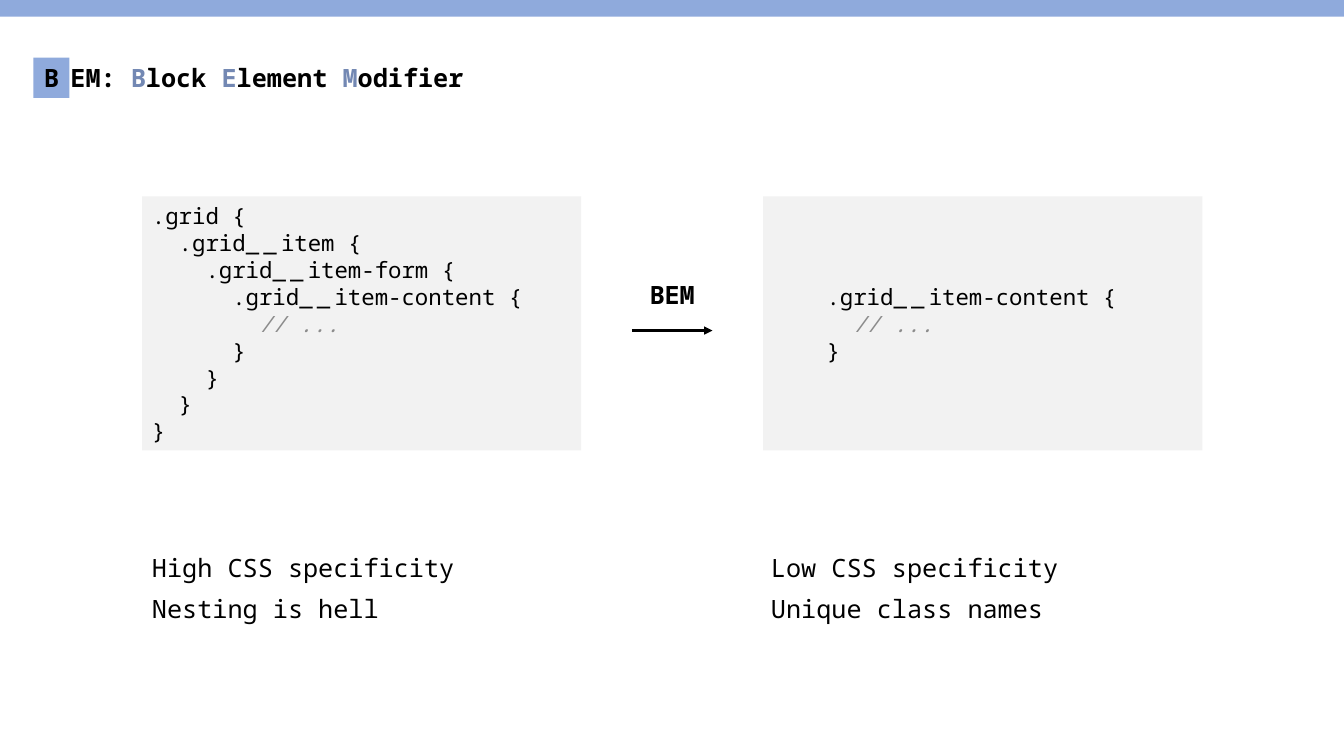
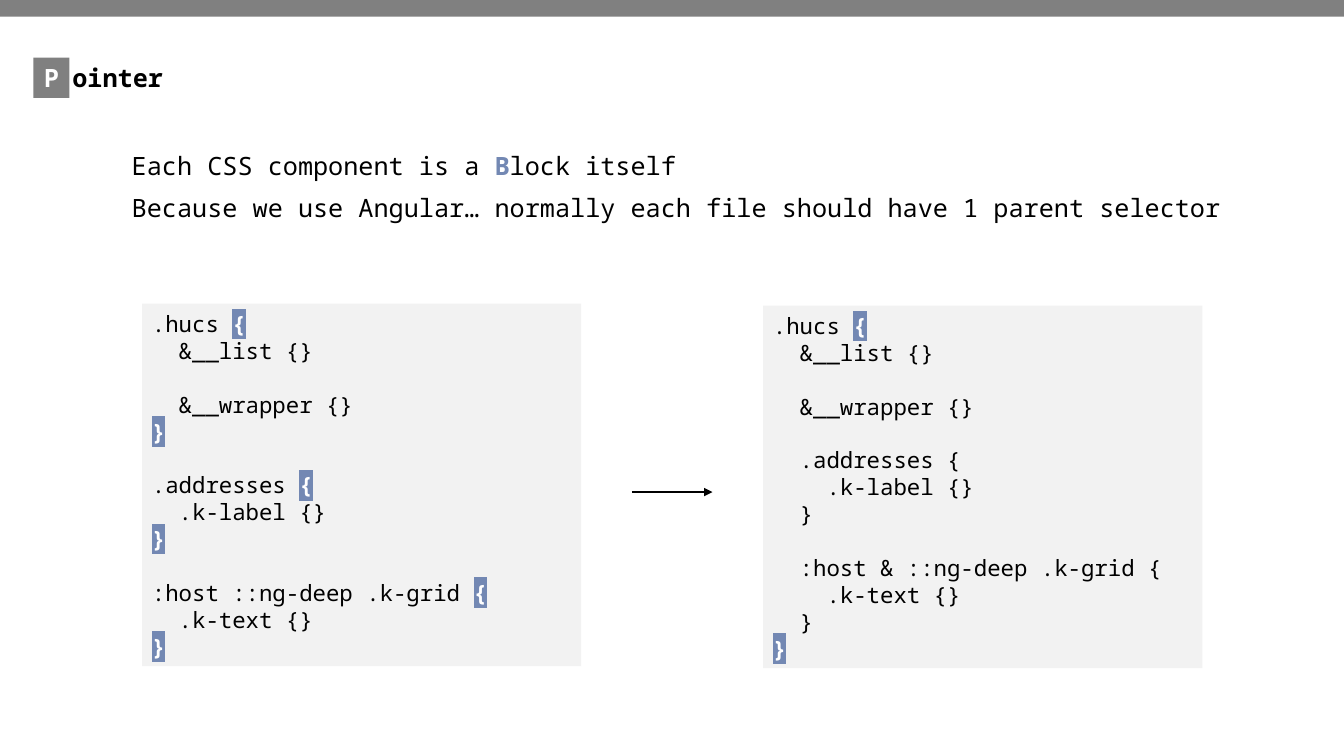
from copy import deepcopy

from lxml import etree
from pptx import Presentation
from pptx.dml.color import RGBColor
from pptx.enum.shapes import MSO_CONNECTOR, MSO_SHAPE
from pptx.enum.text import MSO_ANCHOR, MSO_AUTO_SIZE, PP_ALIGN
from pptx.oxml.ns import qn
from pptx.util import Cm, Pt

RECTANGLE = MSO_SHAPE.RECTANGLE
STRAIGHT = MSO_CONNECTOR.STRAIGHT
LEFT, CENTER = PP_ALIGN.LEFT, PP_ALIGN.CENTER
TOP, MIDDLE = MSO_ANCHOR.TOP, MSO_ANCHOR.MIDDLE
TITLE_ONLY = 5

FONT = "Noto Sans Mono"
COLORS = {
    "black": "000000",
    "white": "FFFFFF",
    "blue": "8FAADC",
    "accent": "7388B3",
    "gray": "808080",
    "panel": "F2F2F2",
    "comment": "8C8C8C",
}
STYLES = {
    "plain": {"color": "black"},
    "bold": {"color": "black", "bold": True},
    "light": {"color": "white", "bold": True},
    "accent": {"color": "accent", "bold": True},
    "comment": {"color": "comment", "italic": True},
    "spaced": {"color": "black", "spacing": 300},
    "mark": {"color": "white", "bold": True, "highlight": "accent"},
}

SLIDE_WIDTH, SLIDE_HEIGHT = 33.87, 19.05
BAND_HEIGHT = 0.42
TILE = (0.84, 1.45, 0.91, 1.02)
TITLE_WIDTH = 30
PANEL_WIDTH = 11.07
PANEL_LEFTS = (3.58, 19.23)
GAP_CENTER = (PANEL_LEFTS[0] + PANEL_WIDTH + PANEL_LEFTS[1]) / 2
ARROW_LENGTH = 2.03
LABEL_WIDTH, LABEL_HEIGHT = 2.31, 1.02

SPACER = ("__", "spaced")
COMMENT = ("// ...", "comment")
OPEN, CLOSE = ("{\n", "mark"), ("}", "mark")
CLOSE_GAP = ("}\n\n", "mark")

SLIDES = [
    {
        "theme": "blue",
        "initial": ("B", "bold"),
        "title_left": 1.52,
        "title": [
            ("EM: ", "bold"), ("B", "accent"), ("lock ", "bold"),
            ("E", "accent"), ("lement ", "bold"),
            ("M", "accent"), ("odifier", "bold"),
        ],
        "notes": [
            {"box": (3.58, 13.87, 9.3, 2.16),
             "lines": [[("High CSS specificity", "plain")],
                       [("Nesting is hell", "plain")]]},
            {"box": (19.18, 13.87, 9.3, 2.16),
             "lines": [[("Low CSS specificity", "plain")],
                       [("Unique class names", "plain")]]},
        ],
        "panel_tops": (4.95, 4.95),
        "panel_height": 6.4,
        "code": [
            [
                (".grid {\n  .grid", "plain"), SPACER,
                ("item {\n    .grid", "plain"), SPACER,
                ("item-form {\n      .grid", "plain"), SPACER,
                ("item-content {\n        ", "plain"), COMMENT,
                ("\n      }\n    }\n  }\n}", "plain"),
            ],
            [
                ("    .grid", "plain"), SPACER,
                ("item-content {\n      ", "plain"), COMMENT,
                ("\n    }", "plain"),
            ],
        ],
        "arrow_y": 8.33,
        "label": ("BEM", 6.91),
    },
    {
        "theme": "gray",
        "initial": ("P", "light"),
        "title_left": 1.57,
        "title": [("ointer", "bold")],
        "notes": [
            {"box": (3.07, 3.76, 30.7, 2.16),
             "lines": [
                 [("Each CSS component is a ", "plain"), ("B", "accent"),
                  ("lock itself", "plain")],
                 [("Because we use Angular… normally each file should "
                   "have 1 parent selector", "plain")],
             ]},
        ],
        "panel_tops": (7.65, 7.7),
        "panel_height": 9.14,
        "code": [
            [
                (".hucs ", "plain"), OPEN,
                ("  &__list {}\n\n  &__wrapper {}\n", "plain"), CLOSE_GAP,
                (".addresses ", "plain"), OPEN,
                ("  .k-label {}\n", "plain"), CLOSE_GAP,
                (":host ::ng-deep .k-grid ", "plain"), OPEN,
                ("  .k-text {}\n", "plain"), CLOSE,
            ],
            [
                (".hucs ", "plain"), OPEN,
                ("  &__list {}\n\n  &__wrapper {}\n\n"
                 "  .addresses {\n    .k-label {}\n  }\n\n"
                 "  :host & ::ng-deep .k-grid {\n    .k-text {}\n  }\n",
                 "plain"),
                CLOSE,
            ],
        ],
        "arrow_y": 12.4,
        "label": None,
    },
]


def rgb(name):
    return RGBColor.from_string(COLORS[name])


def set_attributes(target, values):
    for name, value in values.items():
        setattr(target, name, value)


def format_run(run, style, size):
    set_attributes(run.font, {
        "name": FONT,
        "size": Pt(size),
        "bold": style.get("bold", False),
        "italic": style.get("italic", False),
    })
    run.font.color.rgb = rgb(style["color"])
    properties = run._r.get_or_add_rPr()
    if "spacing" in style:
        properties.set("spc", str(style["spacing"]))
    if "highlight" in style:
        highlight = etree.Element(qn("a:highlight"))
        color = etree.SubElement(highlight, qn("a:srgbClr"))
        color.set("val", COLORS[style["highlight"]])
        properties.find(qn("a:solidFill")).addnext(highlight)


def write_runs(paragraph, runs, size):
    properties = None
    for text, style_name in runs:
        for index, line in enumerate(text.split("\n")):
            if index:
                paragraph.add_line_break()
                paragraph._p[-1].insert(0, deepcopy(properties))
            if line:
                run = paragraph.add_run()
                run.text = line
                format_run(run, STYLES[style_name], size)
                properties = run._r.rPr


def write_lines(shape, lines, size=18, align=LEFT, anchor=MIDDLE, **spacing):
    frame = shape.text_frame
    set_attributes(frame, {
        "word_wrap": True,
        "auto_size": MSO_AUTO_SIZE.NONE,
        "vertical_anchor": anchor,
    })
    for index, runs in enumerate(lines):
        paragraph = frame.add_paragraph() if index else frame.paragraphs[0]
        paragraph.alignment = align
        set_attributes(paragraph, spacing)
        if not index:
            paragraph.space_before = Pt(0)
        write_runs(paragraph, runs, size)


def add_rectangle(slide, box, color):
    shape = slide.shapes.add_shape(RECTANGLE, *map(Cm, box))
    shape.shadow.inherit = False
    shape.fill.solid()
    shape.fill.fore_color.rgb = rgb(color)
    shape.line.fill.background()
    return shape


def add_heading(slide, content):
    add_rectangle(slide, (0, 0, SLIDE_WIDTH, BAND_HEIGHT), content["theme"])
    tile = add_rectangle(slide, TILE, content["theme"])
    set_attributes(tile.text_frame, {"margin_left": 0, "margin_right": 0})
    write_lines(tile, [[content["initial"]]], align=CENTER)
    title = slide.shapes.title
    set_attributes(title, {
        "left": Cm(content["title_left"]),
        "top": Cm(TILE[1]),
        "width": Cm(TITLE_WIDTH),
        "height": Cm(TILE[3]),
    })
    write_lines(title, [content["title"]])


def add_text(slide, box, lines, **options):
    shape = slide.shapes.add_textbox(*map(Cm, box))
    write_lines(shape, lines, anchor=TOP, **options)


def add_arrow(slide, y):
    start, end = GAP_CENTER - ARROW_LENGTH / 2, GAP_CENTER + ARROW_LENGTH / 2
    arrow = slide.shapes.add_connector(STRAIGHT, *map(Cm, (start, y, end, y)))
    arrow.line.color.rgb = rgb("black")
    arrow.line.width = Pt(1.75)
    head = etree.SubElement(arrow.line._get_or_add_ln(), qn("a:tailEnd"))
    head.set("type", "triangle")
    etree.SubElement(arrow._element.spPr, qn("a:effectLst"))


def build_slide(presentation, content):
    slide = presentation.slides.add_slide(
        presentation.slide_layouts[TITLE_ONLY])
    add_heading(slide, content)
    for note in content["notes"]:
        add_text(slide, note["box"], note["lines"],
                 line_spacing=0.9, space_before=Pt(10))
    for left, top, code in zip(
            PANEL_LEFTS, content["panel_tops"], content["code"]):
        box = (left, top, PANEL_WIDTH, content["panel_height"])
        panel = add_rectangle(slide, box, "panel")
        write_lines(panel, [code], size=16)
    if content["label"]:
        text, top = content["label"]
        box = (GAP_CENTER - LABEL_WIDTH / 2, top, LABEL_WIDTH, LABEL_HEIGHT)
        add_text(slide, box, [[(text, "bold")]], align=CENTER)
    add_arrow(slide, content["arrow_y"])


def main():
    presentation = Presentation()
    presentation.slide_width = Cm(SLIDE_WIDTH)
    presentation.slide_height = Cm(SLIDE_HEIGHT)
    for content in SLIDES:
        build_slide(presentation, content)
    presentation.save("out.pptx")


if __name__ == "__main__":
    main()
